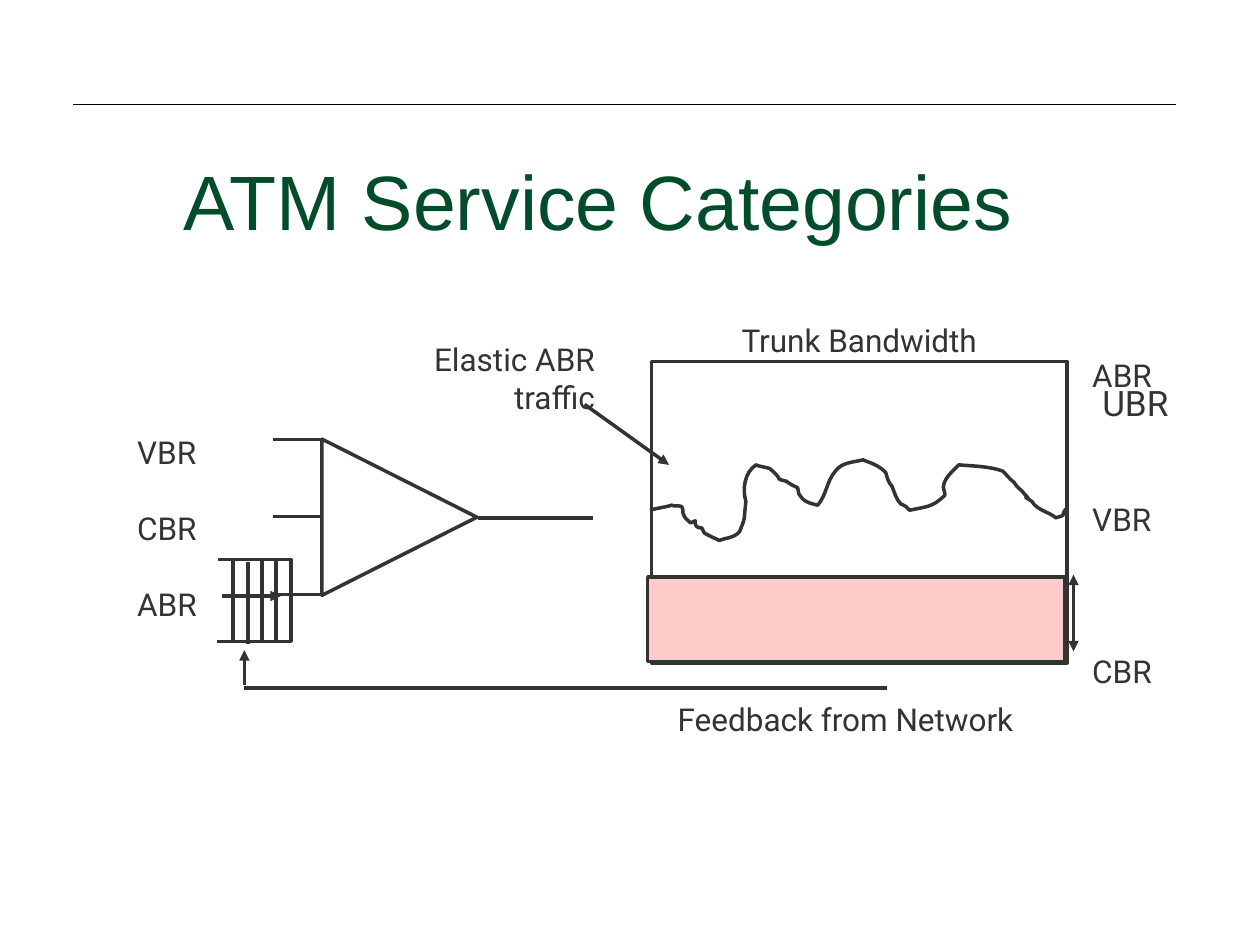
from lxml import etree
from pptx import Presentation, util as u
from pptx.dml.color import RGBColor
from pptx.enum import shapes, text
from pptx.oxml.ns import qn

INK = RGBColor(0x33, 0x33, 0x33)
BLACK = RGBColor(0, 0, 0)
GREEN = RGBColor(0x00, 0x4C, 0x2B)
PINK = RGBColor(0xFF, 0xCC, 0xCC)
LEFT, CENTER, RIGHT = text.PP_ALIGN.LEFT, text.PP_ALIGN.CENTER, text.PP_ALIGN.RIGHT

# Content; all places are on an inch grid
TITLE = ("ATM Service Categories", (0.5, 1.33, 8.5, 0.67))

# (lines with the space before each in points, frame, alignment, size, wrap)
LABELS = [
    ([("ABR", 0), ("VBR", 60.7), ("CBR", 64.8)], (8.57, 2.78, 0.68, 2.74), LEFT, 18, False),
    ([("Trunk Bandwidth", 0)], (5.18, 2.5, 3.28, 0.4), CENTER, 18, True),
    ([("Feedback from Network", 0)], (5.28, 5.51, 3.02, 0.4), LEFT, 18, False),
    ([("Elastic ABR", 0), ("traffic", 0)], (3.34, 2.65, 1.48, 0.7), RIGHT, 18, False),
    ([("VBR", 0), ("CBR", 21.6), ("ABR", 21.6)], (0.99, 3.39, 0.68, 1.6), LEFT, 18, False),
    ([("UBR", 0)], (8.65, 2.98, 0.76, 0.44), LEFT, 20, False),
]

TRUNK = (5.17, 2.87, 3.3, 2.39)
CBR_BAND = (5.14, 4.58, 3.31, 0.67)
MULTIPLEXER = (2.55, 3.49, 1.24, 1.23)
QUEUE = (1.85, 4.44, 0.46, 0.65)

INPUT_LINES = [((2.56, y), (2.17, y)) for y in (3.49, 4.1, 4.72)]
OUTPUT_LINE = ((3.79, 4.11), (4.71, 4.11))
QUEUE_SLOTS = [((x, y), (x, y + 0.65)) for x, y in ((2.08, 4.44), (2.19, 4.45), (1.97, 4.46))]
QUEUE_RAILS = [((1.85, 5.09), (1.72, 5.09)), ((1.86, 4.44), (1.73, 4.44))]
FEEDBACK_LINE = ((1.94, 5.46), (7.04, 5.46))
ARROWS = [  # from, to, ends with a head
    ((4.64, 3.21), (5.31, 3.69), ("tailEnd",)),
    ((1.76, 4.73), (2.23, 4.73), ("tailEnd",)),
    ((1.94, 5.44), (1.94, 5.16), ("tailEnd",)),
    ((8.52, 4.56), (8.52, 5.17), ("headEnd", "tailEnd")),
]

# VBR level: a start, then two control points and an end for each Bezier piece
VBR_CURVE = [
    (5.16, 4.05), (5.22, 4.03), (5.27, 4.03), (5.33, 4.01), (5.35, 4.02), (5.38, 4.01),
    (5.41, 4.02), (5.42, 4.03), (5.42, 4.05), (5.42, 4.07), (5.44, 4.12), (5.43, 4.1),
    (5.48, 4.15), (5.56, 4.12), (5.49, 4.13), (5.53, 4.18), (5.54, 4.19), (5.56, 4.19),
    (5.57, 4.19), (5.58, 4.2), (5.58, 4.22), (5.59, 4.23), (5.6, 4.24), (5.69, 4.28),
    (5.71, 4.29), (5.78, 4.26), (5.81, 4.28), (5.87, 4.22), (5.92, 4.09), (5.9, 4.16),
    (5.92, 3.98), (5.89, 3.88), (5.91, 3.75), (6, 3.69), (6.01, 3.7), (6.09, 3.71),
    (6.11, 3.72), (6.24, 3.83), (6.13, 3.79), (6.24, 3.82), (6.27, 3.84), (6.3, 3.86),
    (6.33, 3.87), (6.34, 3.88), (6.33, 3.9), (6.34, 3.92), (6.35, 3.93), (6.36, 3.95),
    (6.37, 3.96), (6.4, 3.99), (6.45, 4), (6.49, 4.01), (6.56, 3.93), (6.56, 3.82),
    (6.63, 3.74), (6.68, 3.67), (6.77, 3.67), (6.85, 3.65), (6.92, 3.68), (6.97, 3.69),
    (7.03, 3.75), (7.04, 3.79), (7.05, 3.83), (7.08, 3.86), (7.1, 3.91), (7.11, 3.96),
    (7.15, 4), (7.16, 4.01), (7.18, 4.01), (7.19, 4.02), (7.2, 4.03), (7.21, 4.04),
    (7.22, 4.05), (7.35, 4.02), (7.4, 4.03), (7.5, 3.93), (7.5, 3.9), (7.48, 3.87),
    (7.49, 3.85), (7.5, 3.79), (7.57, 3.73), (7.61, 3.69), (7.73, 3.7), (7.85, 3.7),
    (7.96, 3.74), (7.99, 3.77), (8.01, 3.8), (8.05, 3.83), (8.06, 3.85), (8.07, 3.86),
    (8.08, 3.87), (8.1, 3.89), (8.12, 3.9), (8.13, 3.92), (8.22, 4.01), (8.07, 3.9),
    (8.19, 3.98), (8.23, 4.05), (8.32, 4.06), (8.38, 4.11), (8.48, 4.08), (8.41, 4.1),
    (8.46, 4.04),
]


def grid(*inches):
    return [u.Cm(value * 2.54) for value in inches]


def style(shape, fill=None):
    shape.shadow.inherit = False
    shape.line.color.rgb = INK
    shape.line.width = u.Pt(2)
    if fill is None:
        shape.fill.background()
    else:
        shape.fill.solid()
        shape.fill.fore_color.rgb = fill


def add_box(kind, frame, fill=None):
    box = slide.shapes.add_shape(kind, *grid(*frame))
    style(box, fill)
    return box


def add_line(start, end, heads=(), color=INK, width=2):
    line = slide.shapes.add_connector(shapes.MSO_CONNECTOR.STRAIGHT, *grid(*start, *end))
    line.line.color.rgb = color
    line.line.width = u.Pt(width)
    properties = line._element.spPr
    for head in heads:
        etree.SubElement(properties.find(qn("a:ln")), qn("a:" + head), type="triangle")
    etree.SubElement(properties, qn("a:effectLst"))


def add_text(lines, frame, align, size, wrap, font="Roboto", color=INK,
             anchor=text.MSO_ANCHOR.TOP):
    label = slide.shapes.add_textbox(*grid(*frame)).text_frame
    label.word_wrap = wrap
    label.vertical_anchor = anchor
    for index, (words, gap) in enumerate(lines):
        paragraph = label.add_paragraph() if index else label.paragraphs[0]
        paragraph.text = words
        paragraph.alignment = align
        if gap:
            paragraph.space_before = u.Pt(gap)
        paragraph.font.name = font
        paragraph.font.size = u.Pt(size)
        paragraph.font.color.rgb = color


def add_curve(curve):
    start, *others = [grid(*point) for point in curve]
    builder = slide.shapes.build_freeform(*start)
    builder.add_line_segments(others, close=False)
    shape = builder.convert_to_shape()
    style(shape)
    # Join each three straight segments into one Bezier piece
    segments = list(shape._element.spPr.iter(qn("a:lnTo")))
    for first in range(0, len(segments), 3):
        piece = segments[first:first + 3]
        bezier = etree.Element(qn("a:cubicBezTo"))
        piece[0].addprevious(bezier)
        for segment in piece:
            bezier.append(segment[0])
            segment.getparent().remove(segment)


prs = Presentation()
prs.slide_width, prs.slide_height = grid(10, 7.5)
slide = prs.slides.add_slide(prs.slide_layouts[6])

# Rule at the top
add_line((0.58, 0.83), (9.33, 0.83), color=BLACK, width=0.75)

# Trunk, multiplexer and queue
add_box(shapes.MSO_SHAPE.RECTANGLE, TRUNK)
add_box(shapes.MSO_SHAPE.ISOSCELES_TRIANGLE, MULTIPLEXER).rotation = 90
add_box(shapes.MSO_SHAPE.RECTANGLE, QUEUE)

# VBR level inside the trunk
add_curve(VBR_CURVE)

# Lines and arrows
for start, end in [OUTPUT_LINE, *INPUT_LINES, *QUEUE_SLOTS, *QUEUE_RAILS, FEEDBACK_LINE]:
    add_line(start, end)
for arrow in ARROWS:
    add_line(*arrow)

# CBR share of the trunk, then labels and title
add_box(shapes.MSO_SHAPE.RECTANGLE, CBR_BAND, PINK)
for label in LABELS:
    add_text(*label)
add_text([(TITLE[0], 0)], TITLE[1], CENTER, 44, True, "Arial", GREEN, text.MSO_ANCHOR.BOTTOM)

prs.save("out.pptx")
